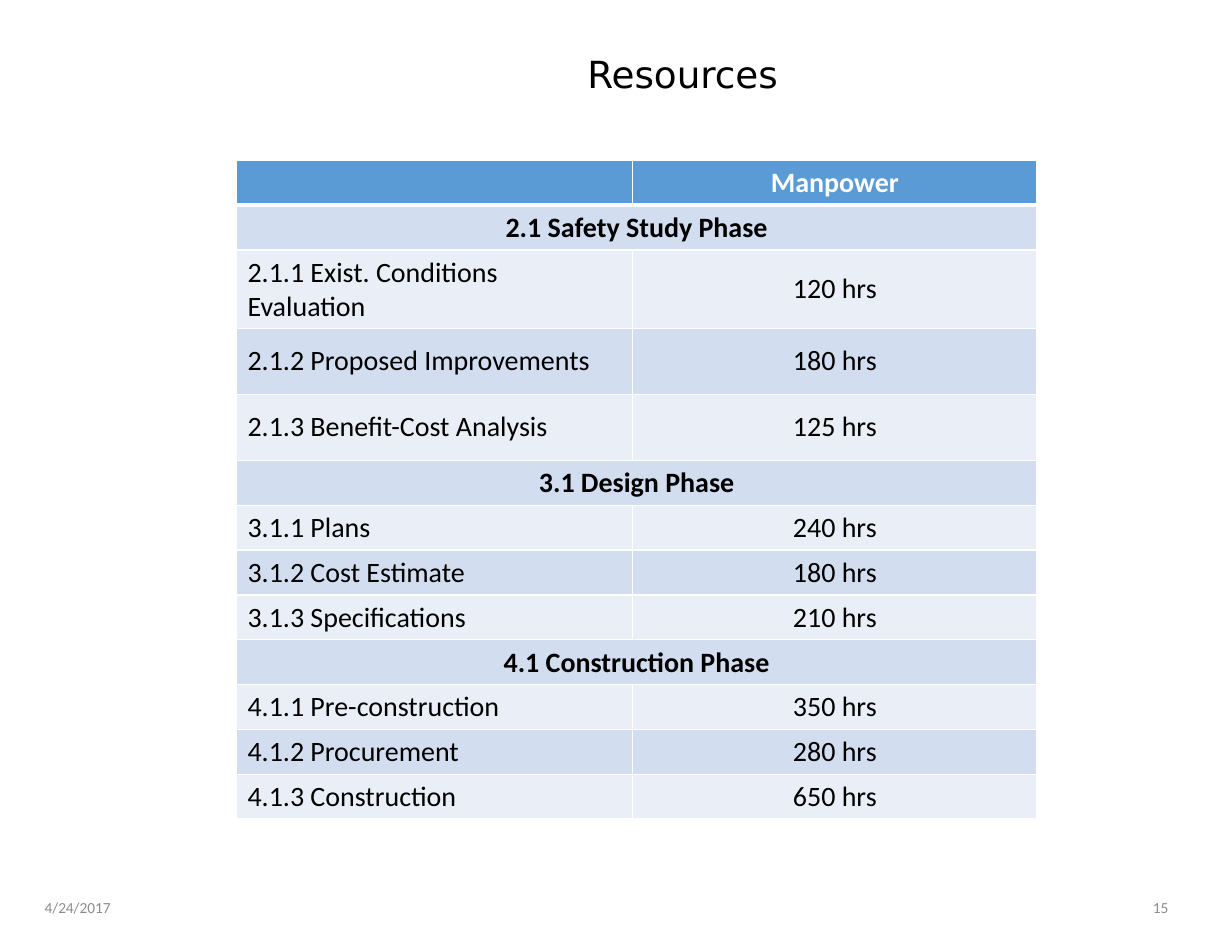
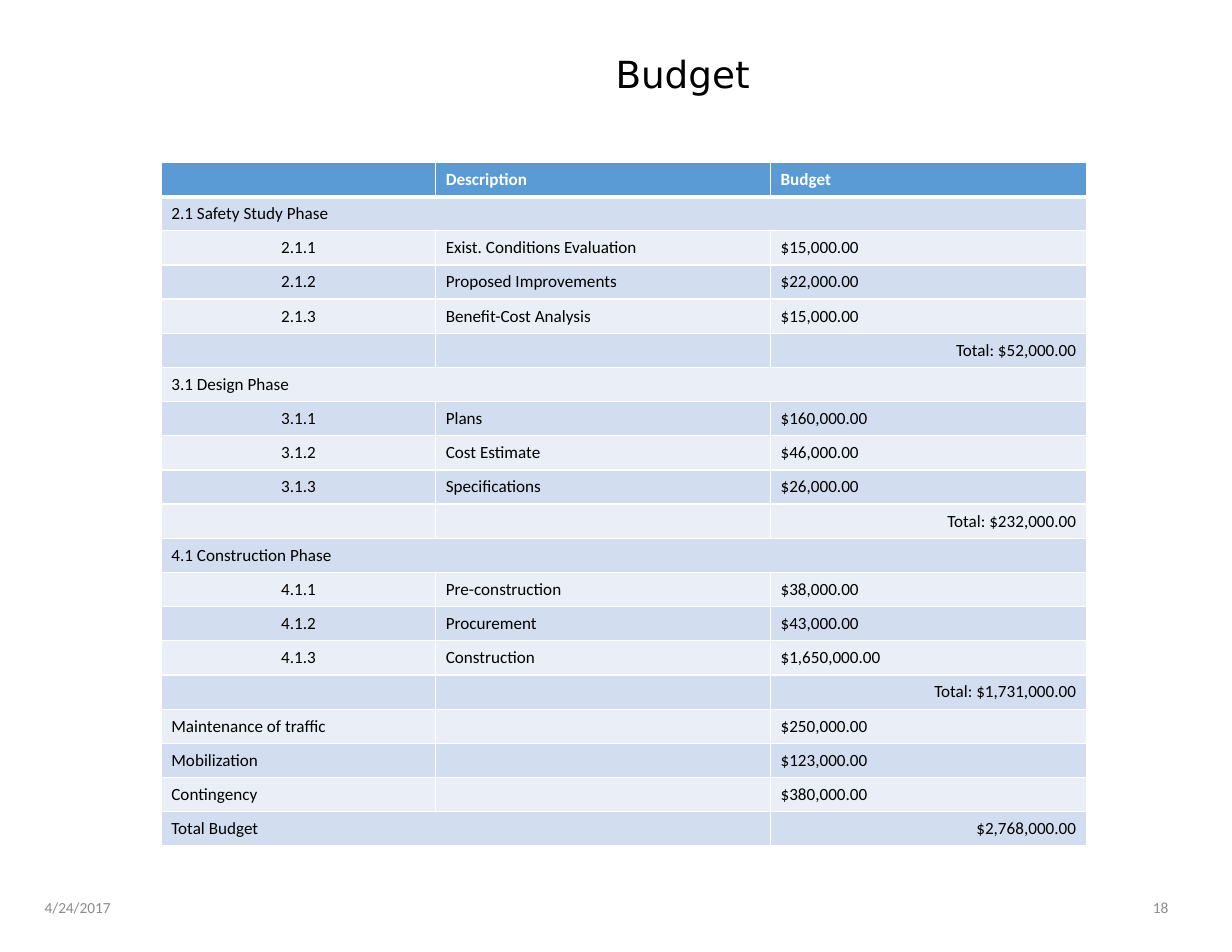
"""Build the resources and budget slides of a road safety project."""
from lxml import etree
from pptx import Presentation
from pptx.dml.color import RGBColor
from pptx.enum.text import MSO_ANCHOR, PP_ALIGN
from pptx.oxml.ns import qn
from pptx.util import Inches, Pt

LEFT, CENTER, RIGHT = PP_ALIGN.LEFT, PP_ALIGN.CENTER, PP_ALIGN.RIGHT
MIDDLE = MSO_ANCHOR.MIDDLE
TITLE_ONLY = 5
COLORS = {
    "header": "5B9BD5",
    "dark band": "D2DEEF",
    "light band": "EAEFF7",
    "white": "FFFFFF",
    "text": "000000",
    "footer": "8C8C8C",
}
TITLE_FONT, BODY_FONT = "DejaVu Sans", "Calibri"
DATE = "4/24/2017"

PHASES = [
    ("2.1 Safety Study Phase", [
        ("2.1.1", "Exist. Conditions Evaluation", 120, 15000),
        ("2.1.2", "Proposed Improvements", 180, 22000),
        ("2.1.3", "Benefit-Cost Analysis", 125, 15000),
    ]),
    ("3.1 Design Phase", [
        ("3.1.1", "Plans", 240, 160000),
        ("3.1.2", "Cost Estimate", 180, 46000),
        ("3.1.3", "Specifications", 210, 26000),
    ]),
    ("4.1 Construction Phase", [
        ("4.1.1", "Pre-construction", 350, 38000),
        ("4.1.2", "Procurement", 280, 43000),
        ("4.1.3", "Construction", 650, 1650000),
    ]),
]
EXTRAS = [
    ("Maintenance of traffic", 250000),
    ("Mobilization", 123000),
    ("Contingency", 380000),
]
EMPTY = ("", LEFT)
MERGED = None


def color(name):
    return RGBColor.from_string(COLORS[name])


def dollars(amount):
    return f"${amount:,.2f}"


def add_text(paragraph, text, size, font_name, color_name, align, bold=False):
    paragraph.alignment = align
    run = paragraph.add_run()
    run.text = text
    run.font.size = Pt(size)
    run.font.name = font_name
    run.font.bold = bold
    run.font.color.rgb = color(color_name)


def add_footer(slide, left, text, align):
    box = slide.shapes.add_textbox(Inches(left), Inches(7.88), Inches(2.48), Inches(0.45))
    frame = box.text_frame
    frame.word_wrap = True
    frame.vertical_anchor = MIDDLE
    add_text(frame.paragraphs[0], text, 9.9, BODY_FONT, "footer", align)


def add_slide(presentation, title_text, number):
    slide = presentation.slides.add_slide(presentation.slide_layouts[TITLE_ONLY])
    title = slide.shapes.title
    title.left, title.top = Inches(1.9), Inches(0.07)
    title.width, title.height = Inches(8.39), Inches(1.23)
    title.text_frame.vertical_anchor = MIDDLE
    paragraph = title.text_frame.paragraphs[0]
    paragraph.line_spacing = 0.9
    add_text(paragraph, title_text, 24, TITLE_FONT, "text", CENTER)
    add_footer(slide, 0.3, DATE, LEFT)
    add_footer(slide, 8.05, number, RIGHT)
    return slide


def set_borders(cell, top, bottom):
    properties = cell._tc.get_or_add_tcPr()
    for tag, width in (("a:lnL", 1), ("a:lnR", 1), ("a:lnT", top), ("a:lnB", bottom)):
        line = etree.SubElement(properties, qn(tag), w=str(Pt(width)))
        fill = etree.SubElement(line, qn("a:solidFill"))
        etree.SubElement(fill, qn("a:srgbClr"), val=COLORS["white"])


def format_cell(cell, row_index, margins):
    set_borders(cell, 3 if row_index == 1 else 1, 3 if row_index == 0 else 1)
    band = "header" if row_index == 0 else "dark band" if row_index % 2 else "light band"
    cell.fill.solid()
    cell.fill.fore_color.rgb = color(band)
    cell.vertical_anchor = MIDDLE
    cell.margin_left = cell.margin_right = Inches(margins[0])
    cell.margin_top = cell.margin_bottom = Inches(margins[1])


def add_table(slide, left, top, widths, heights, rows, size, margins, bold_rows):
    frame = slide.shapes.add_table(len(rows), len(widths), Inches(left), Inches(top),
                                   Inches(sum(widths)), Inches(sum(heights)))
    table = frame.table
    for column, width in zip(table.columns, widths):
        column.width = Inches(width)
    for row_index, (row, height) in enumerate(zip(rows, heights)):
        table.rows[row_index].height = Inches(height)
        text_color = "white" if row_index == 0 else "text"
        for column_index, content in enumerate(row):
            cell = table.cell(row_index, column_index)
            format_cell(cell, row_index, margins)
            paragraph = cell.text_frame.paragraphs[0]
            if content in (MERGED, EMPTY):
                etree.SubElement(paragraph._p, qn("a:endParaRPr"), sz=str(size * 100))
            else:
                text, align = content
                add_text(paragraph, text, size, BODY_FONT, text_color, align,
                         row_index in bold_rows)
        if MERGED in row:
            last = max(i for i, content in enumerate(row) if content is MERGED)
            table.cell(row_index, 0).merge(table.cell(row_index, last))


def add_resources(presentation):
    rows = [[EMPTY, ("Manpower", CENTER)]]
    bold_rows = [0]
    for phase, tasks in PHASES:
        bold_rows.append(len(rows))
        rows.append([(phase, CENTER), MERGED])
        for code, task, hours, _ in tasks:
            rows.append([(f"{code} {task}", LEFT), (f"{hours} hrs", CENTER)])
    heights = [0.4] * 2 + [0.59] * 3 + [0.4] * 8
    slide = add_slide(presentation, "Resources", "15")
    add_table(slide, 2.11, 1.43, [3.54, 3.61], heights, rows, 18, (0.1, 0.05), bold_rows)


def add_budget(presentation):
    rows = [[EMPTY, ("Description", LEFT), ("Budget", LEFT)]]
    total = sum(cost for _, cost in EXTRAS)
    for phase, tasks in PHASES:
        rows.append([(phase, LEFT), MERGED, MERGED])
        for code, task, _, cost in tasks:
            rows.append([(code, CENTER), (task, LEFT), (dollars(cost), LEFT)])
        subtotal = sum(task[3] for task in tasks)
        total += subtotal
        rows.append([EMPTY, EMPTY, (f"Total: {dollars(subtotal)}", RIGHT)])
    for label, cost in EXTRAS:
        rows.append([(label, LEFT), EMPTY, (dollars(cost), LEFT)])
    rows.append([("Total Budget", LEFT), MERGED, (dollars(total), RIGHT)])
    heights = [6.11 / len(rows)] * len(rows)
    slide = add_slide(presentation, "Budget", "18")
    add_table(slide, 1.44, 1.45, [2.45, 2.99, 2.82], heights, rows, 11, (0.09, 0.04), [0])


def main():
    presentation = Presentation()
    presentation.slide_width, presentation.slide_height = Inches(11), Inches(8.5)
    add_resources(presentation)
    add_budget(presentation)
    presentation.save("out.pptx")


if __name__ == "__main__":
    main()
